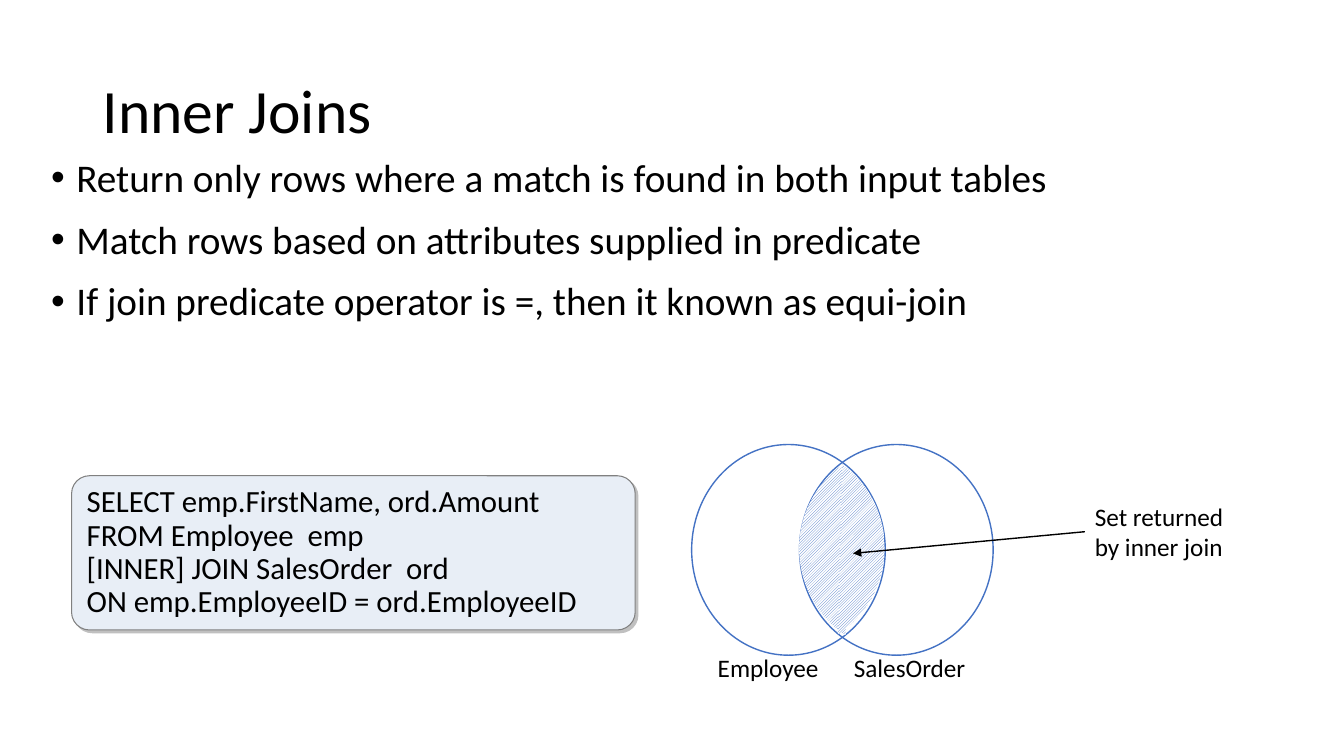
from lxml import etree
from pptx import Presentation
from pptx.dml.color import RGBColor
from pptx.enum.dml import MSO_PATTERN
from pptx.enum.shapes import MSO_CONNECTOR, MSO_SHAPE as Shape
from pptx.enum.text import MSO_ANCHOR as Anchor, PP_ALIGN
from pptx.oxml import parse_xml
from pptx.oxml.ns import nsdecls, qn
from pptx.util import Pt

PX = 9144  # 100 px to the inch
BLACK = RGBColor(0x00, 0x00, 0x00)
WHITE = RGBColor(0xFF, 0xFF, 0xFF)
BLUE = RGBColor(0x44, 0x72, 0xC4)
PALE = RGBColor(0xE8, 0xEE, 0xF6)
GRAY = RGBColor(0x80, 0x80, 0x80)

SHADOW = (
    f'<a:effectLst {nsdecls("a")}><a:outerShdw dist="35921" dir="2700000" '
    'algn="ctr" rotWithShape="0"><a:srgbClr val="C0C0C0"/>'
    '</a:outerShdw></a:effectLst>'
)


class Page:
    font = "Calibri"

    def __init__(self, deck):
        self.shapes = deck.slides.add_slide(deck.slide_layouts[6]).shapes

    def label(self, shape, text, size, anchor=Anchor.TOP, wrap=True, lead=None):
        """Put styled text into a shape."""
        frame = shape.text_frame
        frame.text = text
        frame.word_wrap = wrap
        frame.vertical_anchor = anchor
        for para in frame.paragraphs:
            para.alignment = PP_ALIGN.LEFT
            para.line_spacing = lead
            for run in para.runs:
                run.font.name = self.font
                run.font.size = Pt(size)
                run.font.color.rgb = BLACK

    def text(self, box, text, size, **style):
        shape = self.shapes.add_textbox(*(n * PX for n in box))
        self.label(shape, text, size, **style)
        return shape

    def bullets(self, box, items, size):
        shape = self.text(box, "\n".join(items), size, lead=0.9)
        for para in shape.text_frame.paragraphs:
            para.space_before = Pt(14)
            props = para._p.get_or_add_pPr()
            props.set("marL", str(25 * PX))
            props.set("indent", str(-25 * PX))
            etree.SubElement(props, qn("a:buFont")).set("typeface", "Arial")
            etree.SubElement(props, qn("a:buChar")).set("char", "•")

    def shape(self, kind, box, line=None, width=1):
        """Add an unfilled, shadowless shape; no line colour means no outline."""
        shape = self.shapes.add_shape(kind, *(n * PX for n in box))
        shape.shadow.inherit = False
        shape.fill.background()
        if line is None:
            shape.line.fill.background()
        else:
            shape.line.color.rgb = line
            shape.line.width = Pt(width)
        return shape

    def chord(self, box, turn, flip=False):
        """Add one hatched half of the overlap."""
        half = self.shape(Shape.CHORD, box)
        half.adjustments[0] = 94.485
        half.adjustments[1] = 161.53
        half.rotation = turn
        if flip:
            half._element.spPr.find(qn("a:xfrm")).set("flipH", "1")
        half.fill.patterned()
        half.fill.pattern = MSO_PATTERN.LIGHT_UPWARD_DIAGONAL
        half.fill.fore_color.rgb = BLUE
        half.fill.back_color.rgb = WHITE

    def code(self, box, lines, size):
        panel = self.shape(Shape.ROUNDED_RECTANGLE, box, GRAY, 0.75)
        panel.adjustments[0] = 0.116
        panel.fill.solid()
        panel.fill.fore_color.rgb = PALE
        props = panel._element.spPr
        props.remove(props.find(qn("a:effectLst")))
        props.append(parse_xml(SHADOW))
        self.label(panel, "\n".join(lines), size, anchor=Anchor.MIDDLE, lead=0.9)

    def arrow(self, note, x, y):
        """Point from the left side of the note to x, y."""
        line = self.shapes.add_connector(
            MSO_CONNECTOR.STRAIGHT, note.left, note.top, x * PX, y * PX)
        line.begin_connect(note, 1)
        line.line.color.rgb = BLACK
        line.line.width = Pt(1)
        props = line._element.spPr
        tail = etree.SubElement(props.find(qn("a:ln")), qn("a:tailEnd"))
        tail.set("type", "triangle")
        etree.SubElement(props, qn("a:effectLst"))


def main():
    deck = Presentation()
    deck.slide_width, deck.slide_height = 1333 * PX, 750 * PX
    page = Page(deck)

    page.text((92, 40, 1150, 145), "Inner Joins", 44,
              anchor=Anchor.MIDDLE, lead=0.9)
    page.bullets((41, 152, 1260, 579), [
        "Return only rows where a match is found in both input tables",
        "Match rows based on attributes supplied in predicate",
        "If join predicate operator is =, then it known as equi-join",
    ], 28)

    for left in (686, 793):
        page.shape(Shape.OVAL, (left, 441, 192, 209), BLUE)
    for name, left, width in (("Employee", 702, 121), ("SalesOrder", 837, 132)):
        page.text((left, 642, width, 40), name, 18, wrap=False)
    note = page.text((1076, 492, 175, 71), "Set returned by inner join", 18)
    page.chord((793, 443, 202, 205), 325.5)
    page.chord((675, 442, 202, 205), 34.5, flip=True)
    page.arrow(note, 846, 549)

    page.code((71, 472, 559, 153), [
        "SELECT emp.FirstName, ord.Amount",
        "FROM Employee  emp",
        "[INNER] JOIN SalesOrder  ord",
        "ON emp.EmployeeID = ord.EmployeeID",
    ], 22)
    deck.save("out.pptx")


if __name__ == "__main__":
    main()
